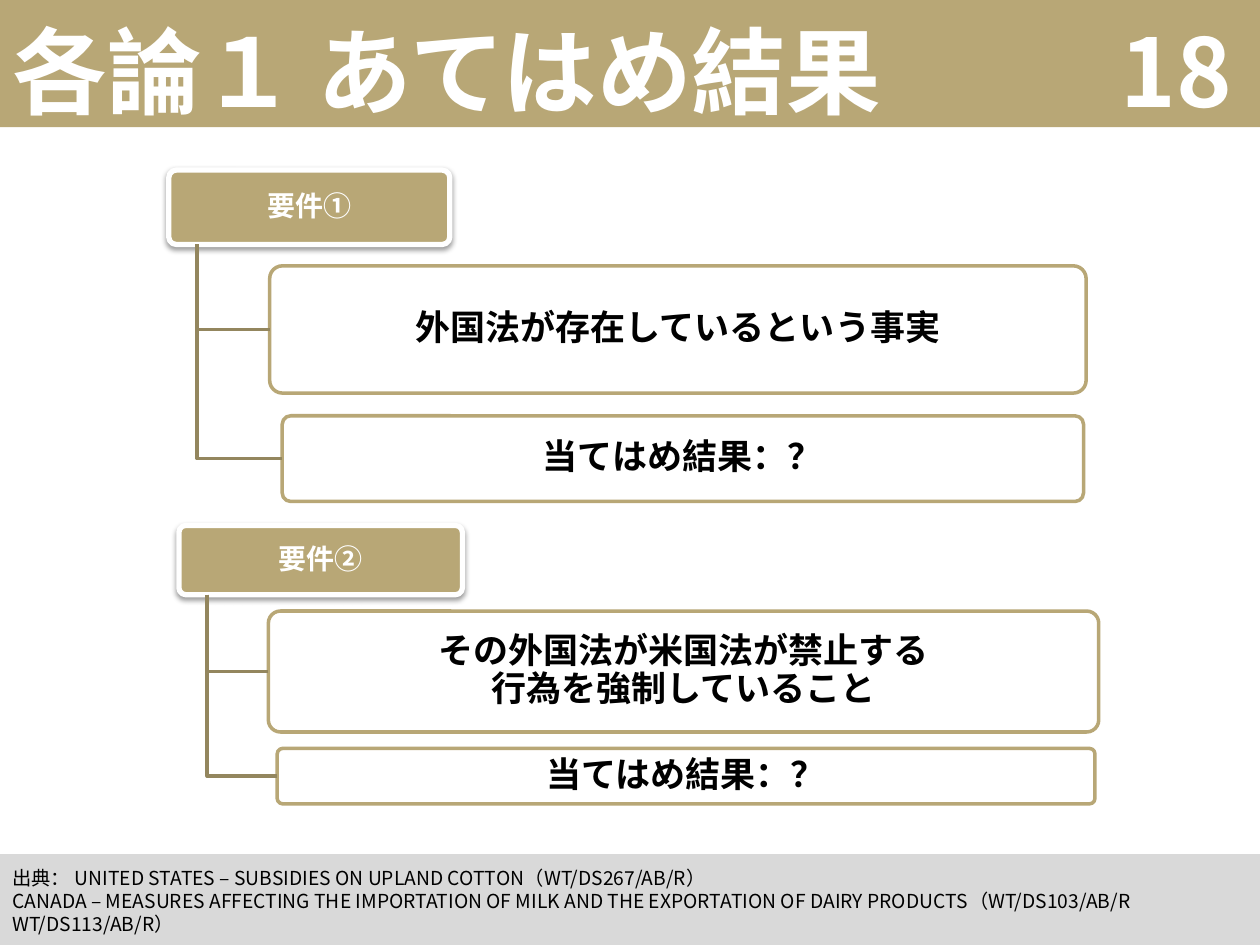
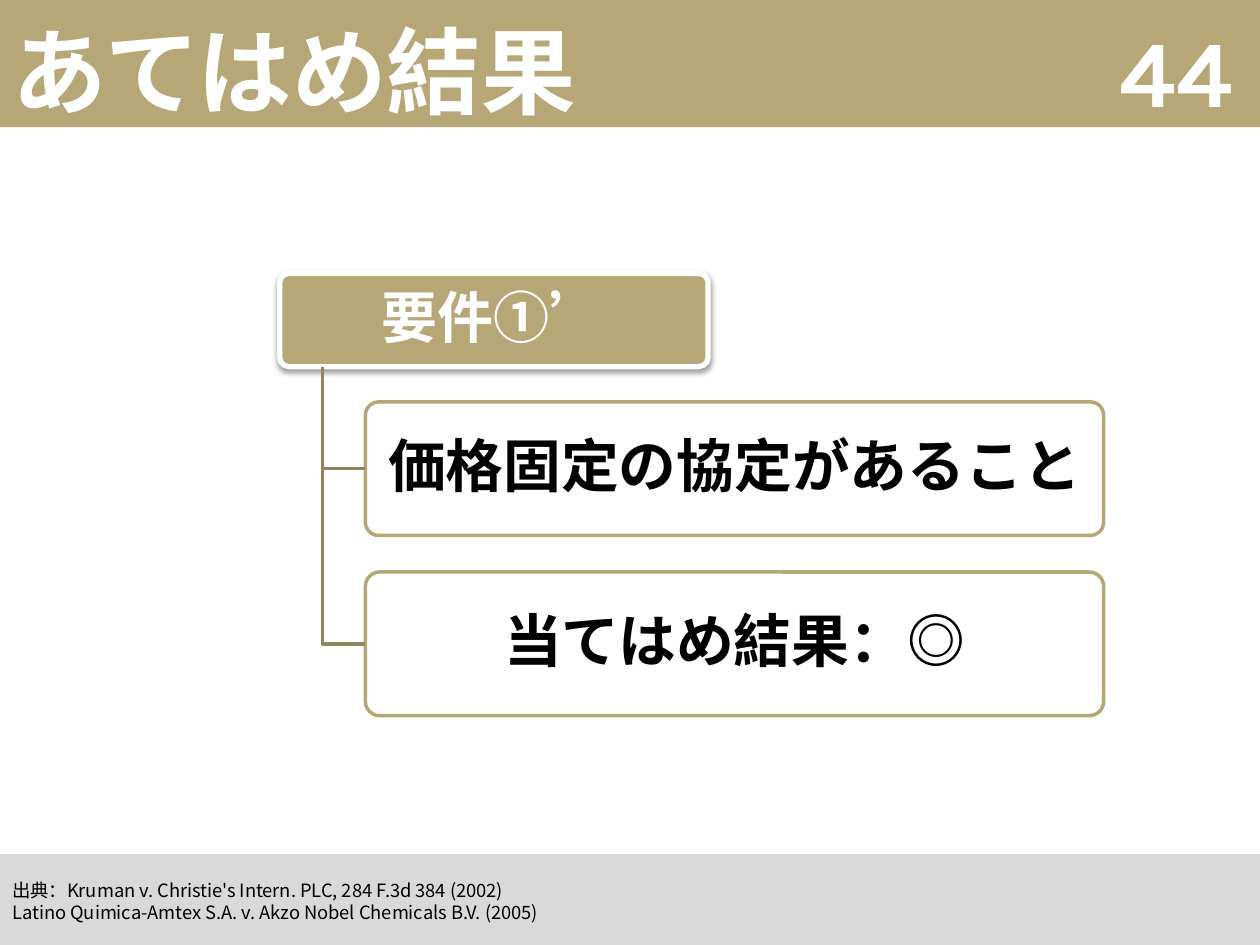
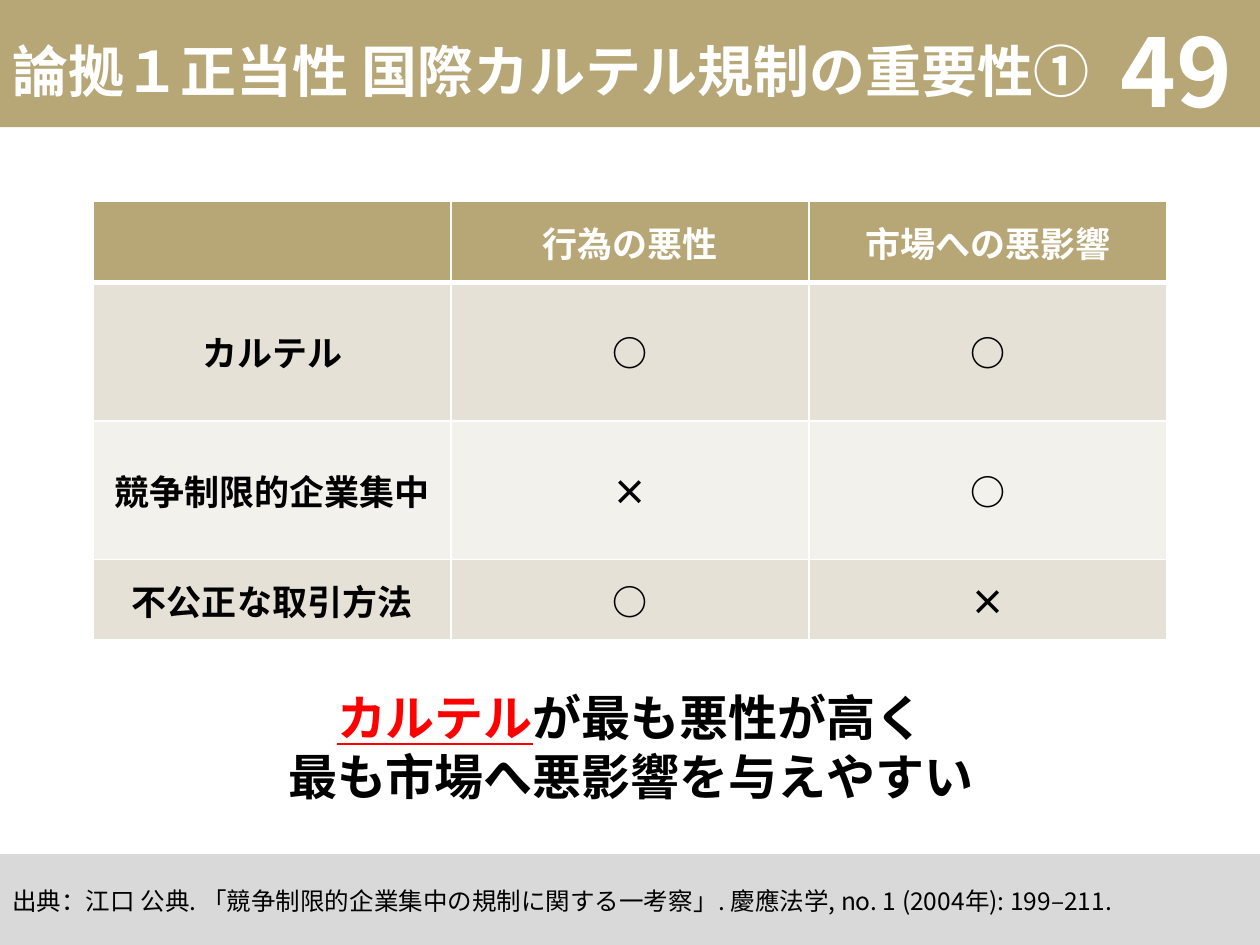
from lxml import etree
from pptx import Presentation
from pptx.dml.color import RGBColor
from pptx.enum.shapes import MSO_SHAPE
from pptx.enum.text import MSO_ANCHOR, MSO_AUTO_SIZE, PP_ALIGN
from pptx.oxml.ns import qn
from pptx.util import Inches, Pt

RECT, ROUND = MSO_SHAPE.RECTANGLE, MSO_SHAPE.ROUNDED_RECTANGLE
LEFT, CENTER, RIGHT = PP_ALIGN.LEFT, PP_ALIGN.CENTER, PP_ALIGN.RIGHT
TOP, MIDDLE = MSO_ANCHOR.TOP, MSO_ANCHOR.MIDDLE
NO_FIT = MSO_AUTO_SIZE.NONE

GOLD, OLIVE, GREY = "B8A776", "93865E", "D9D9D9"
WHITE, BLACK, RED = "FFFFFF", "000000", "FF0000"
SAND, PALE = "E6E1D6", "F3F1EC"
KARLA, NOTO = "Karla", "Noto Sans CJK JP"


def rgb(value):
    return RGBColor.from_string(value)


def add_xml(parent, tag, **attrs):
    return etree.SubElement(parent, qn(tag), {k: str(v) for k, v in attrs.items()})


def add_color(parent, value, alpha=None):
    color = add_xml(parent, "a:srgbClr", val=value)
    if alpha:
        add_xml(color, "a:alpha", val=alpha * 1000)


class Deck:
    def __init__(self):
        self.prs = Presentation()
        self.prs.slide_width, self.prs.slide_height = Inches(10), Inches(7.5)
        self.layout = self.prs.slide_layouts[5]
        self.s = None

    def slide(self, title, number, size=54, number_font=NOTO, width=11.06):
        self.s = self.prs.slides.add_slide(self.layout)
        if len(self.prs.slides) == 1:
            self.band()
        sp = self.s.shapes.title
        sp.left, sp.top, sp.width, sp.height = map(Inches, (0, -0.07, width, 1.25))
        self.set_text(sp.text_frame, [title], size, WHITE, font=KARLA, bold=True)
        self.text([number], (7.55, 0.35, 2.33, 0.4), 54, WHITE, align=RIGHT,
                  font=number_font, bold=True)

    def band(self):
        band = self.shape(RECT, (0, 0, 10, 1.01), GOLD)
        self.layout.placeholders[0].element.getparent().insert(2, band.element)

    def set_text(self, tf, lines, size, color, align=LEFT, anchor=MIDDLE, font=NOTO,
                 bold=False, spacing=None):
        for name, value in dict(word_wrap=True, auto_size=NO_FIT,
                                vertical_anchor=anchor).items():
            setattr(tf, name, value)
        for i, line in enumerate(lines):
            p = tf.paragraphs[0] if i == 0 else tf.add_paragraph()
            p.alignment, p.line_spacing = align, spacing
            self.runs(p, line, size, color, font, bold)

    def runs(self, p, line, size, color, font=NOTO, bold=False):
        parts = [(line, {})] if isinstance(line, str) else line
        for text, changes in parts:
            style = dict(name=font, size=Pt(size), bold=bold, color=color) | changes
            tint = style.pop("color")
            for i, piece in enumerate(text.splitlines()):
                if i:
                    p.add_line_break()
                r = p.add_run()
                r.text = piece
                for name, value in style.items():
                    setattr(r.font, name, value)
                r.font.color.rgb = rgb(tint)
                add_xml(r.font._element, "a:ea", typeface=NOTO)

    def text(self, lines, at, size, color, **style):
        sp = self.s.shapes.add_textbox(*map(Inches, at))
        self.set_text(sp.text_frame, lines, size, color, **style)

    def shape(self, kind, at, fill, line=None, width=0):
        sp = self.s.shapes.add_shape(kind, *map(Inches, at))
        sp.shadow.inherit = False
        sp.fill.solid()
        sp.fill.fore_color.rgb = rgb(fill)
        if line:
            sp.line.color.rgb, sp.line.width = rgb(line), Pt(width)
        else:
            sp.line.fill.background()
        return sp

    def box(self, text, at, size, inset, color, fill, line, width):
        sp = self.shape(ROUND, at, fill, line, width)
        sp.adjustments[0] = 0.1
        tf = sp.text_frame
        for side, value in dict(left=inset, right=inset, top=0.04, bottom=0.04).items():
            setattr(tf, f"margin_{side}", Inches(value))
        self.set_text(tf, [text], size, color, align=CENTER, bold=True, spacing=0.9)
        return sp

    def header(self, text, at, size, inset):
        sp = self.box(text, at, size, inset, WHITE, GOLD, WHITE, 3)
        effects = sp.element.spPr.find(qn("a:effectLst"))
        shadow = add_xml(effects, "a:outerShdw", blurRad=Pt(3.1), dist=Pt(1.6),
                         dir=5400000, rotWithShape=0)
        add_color(shadow, BLACK, 38)
        return sp

    def branch(self, header, child):
        x = header.left + header.width // 10
        y = header.top + header.height
        mid = child.top + child.height // 2
        outline = self.s.shapes.build_freeform(x, y)
        outline.add_line_segments([(x, mid), (child.left, mid)], close=False)
        sp = outline.convert_to_shape()
        sp.shadow.inherit = False
        sp.fill.background()
        sp.line.color.rgb, sp.line.width = rgb(OLIVE), Pt(2)

    def tree(self, title, at, children, sizes, inset=0.04):
        header = self.header(title, at, sizes[0], inset)
        for text, place in children:
            child = self.box(text, place, sizes[1], inset, BLACK, WHITE, GOLD, 2)
            fill = child.element.spPr.find(qn("a:solidFill"))
            add_xml(fill[0], "a:alpha", val=90000)
            self.branch(header, child)

    def source(self, lines, size):
        sp = self.shape(RECT, (0, 6.78, 10, 0.74), GREY)
        self.set_text(sp.text_frame, lines, size, BLACK)

    def table(self, rows, at, heights):
        frame = self.s.shapes.add_table(len(rows), len(rows[0]), *map(Inches, at))
        table = frame.table
        table.first_row = table.horz_banding = False
        for i, (row, height) in enumerate(zip(rows, heights)):
            table.rows[i].height = Inches(height)
            fill = GOLD if i == 0 else (PALE, SAND)[i % 2]
            for j, text in enumerate(row):
                cell = table.cell(i, j)
                cell.fill.solid()
                cell.fill.fore_color.rgb = rgb(fill)
                cell.vertical_anchor = MIDDLE
                p = cell.text_frame.paragraphs[0]
                p.alignment = CENTER
                self.runs(p, text, 20, BLACK if i else WHITE, bold=True)
                self.borders(cell, top=3 if i == 1 else 1, bottom=1 if i else 3)

    def borders(self, cell, top, bottom):
        tcPr = cell._tc.get_or_add_tcPr()
        widths = dict(lnL=1, lnR=1, lnT=top, lnB=bottom)
        for i, (tag, width) in enumerate(widths.items()):
            ln = add_xml(tcPr, f"a:{tag}", w=Pt(width))
            add_color(add_xml(ln, "a:solidFill"), WHITE)
            tcPr.insert(i, ln)


def main():
    d = Deck()

    d.slide("各論１ あてはめ結果", "18")
    d.tree("要件①", (1.34, 1.35, 2.23, 0.59), [
        ("外国法が存在しているという事実", (2.14, 2.11, 6.48, 1.01)),
        ("当てはめ結果：？", (2.24, 3.3, 6.36, 0.68)),
    ], (16, 20))
    d.source([
        "出典： UNITED STATES – SUBSIDIES ON UPLAND COTTON（WT/DS267/AB/R）",
        "CANADA – MEASURES AFFECTING THE IMPORTATION OF MILK AND THE EXPORTATION "
        "OF DAIRY PRODUCTS（WT/DS103/AB/R WT/DS113/AB/R）",
    ], 11)
    d.tree("要件②", (1.42, 4.17, 2.25, 0.55), [
        ("""その外国法が米国法が禁止する
行為を強制していること""", (2.13, 4.85, 6.59, 0.96)),
        ("当てはめ結果：？", (2.2, 5.94, 6.49, 0.44)),
    ], (16, 20))

    d.slide("あてはめ結果", "44", number_font=KARLA)
    d.tree("要件①’", (2.22, 2.17, 3.4, 0.74), [
        ("価格固定の協定があること", (2.9, 3.19, 5.86, 1.06)),
        ("当てはめ結果：◎", (2.9, 4.54, 5.86, 1.14)),
    ], (32, 33), inset=0.07)
    d.source([
        "出典：Kruman v. Christie's Intern. PLC, 284 F.3d 384 (2002)",
        "Latino Quimica-Amtex S.A. v. Akzo Nobel Chemicals B.V. (2005)",
    ], 10.5)

    d.slide("論拠１正当性 国際カルテル規制の重要性①", "49", size=32, width=10.18)
    d.table([
        ("", "行為の悪性", "市場への悪影響"),
        ("カルテル", "○", "○"),
        ("競争制限的企業集中", "×", "○"),
        ("不公正な取引方法", "○", "×"),
    ], (0.74, 1.6, 8.52, 3.47), (0.64, 1.1, 1.1, 0.64))
    d.source(["出典：江口 公典. 「競争制限的企業集中の規制に関する一考察」. "
              "慶應法学, no. 1 (2004年): 199–211."], 14)
    d.text([
        [("カルテル", dict(color=RED, underline=True)), ("が最も悪性が高く", {})],
        "最も市場へ悪影響を与えやすい",
    ], (1.83, 5.41, 6.35, 1.04), 28, BLACK, align=CENTER, anchor=TOP, bold=True)

    d.prs.save("out.pptx")


if __name__ == "__main__":
    main()
